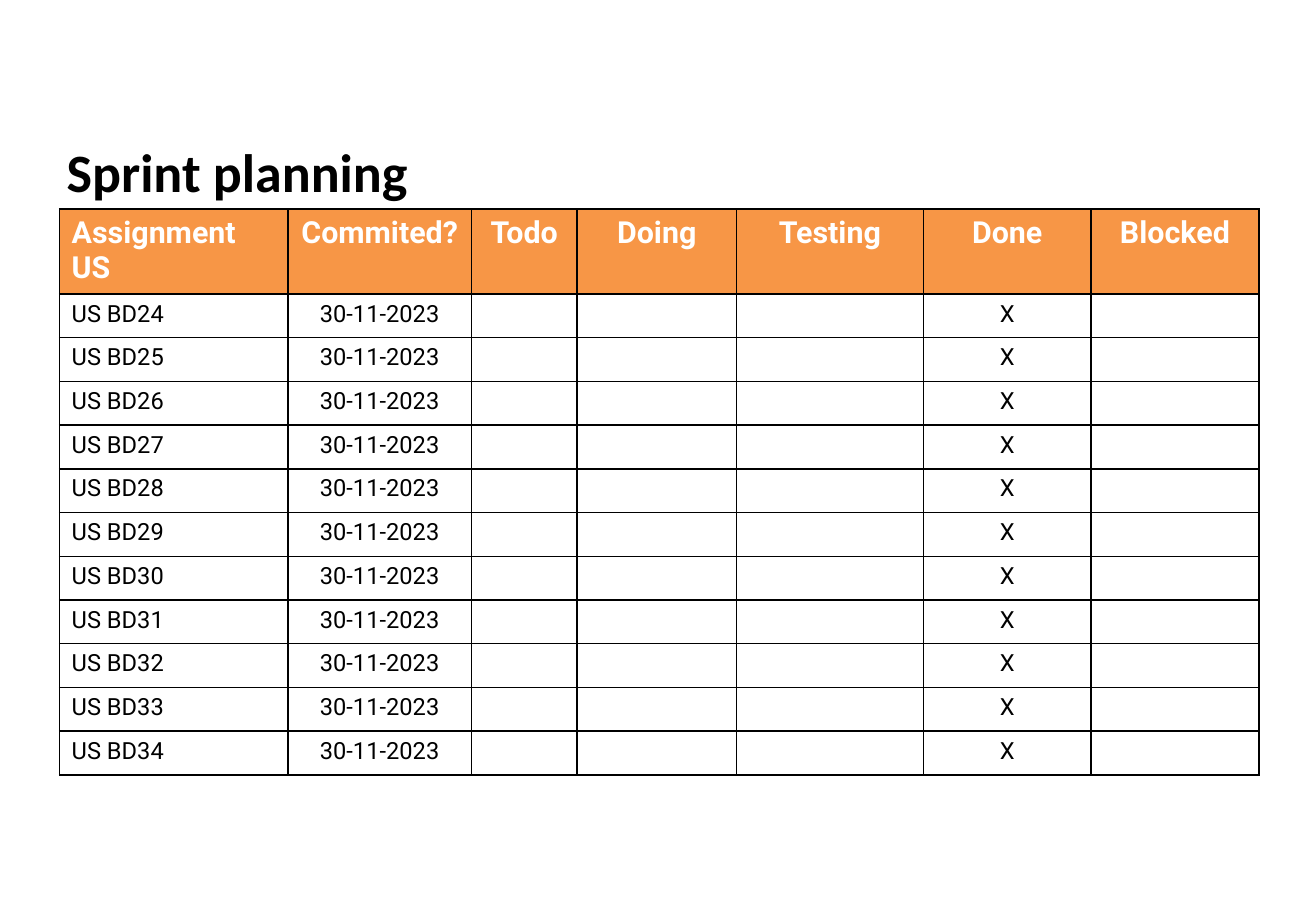
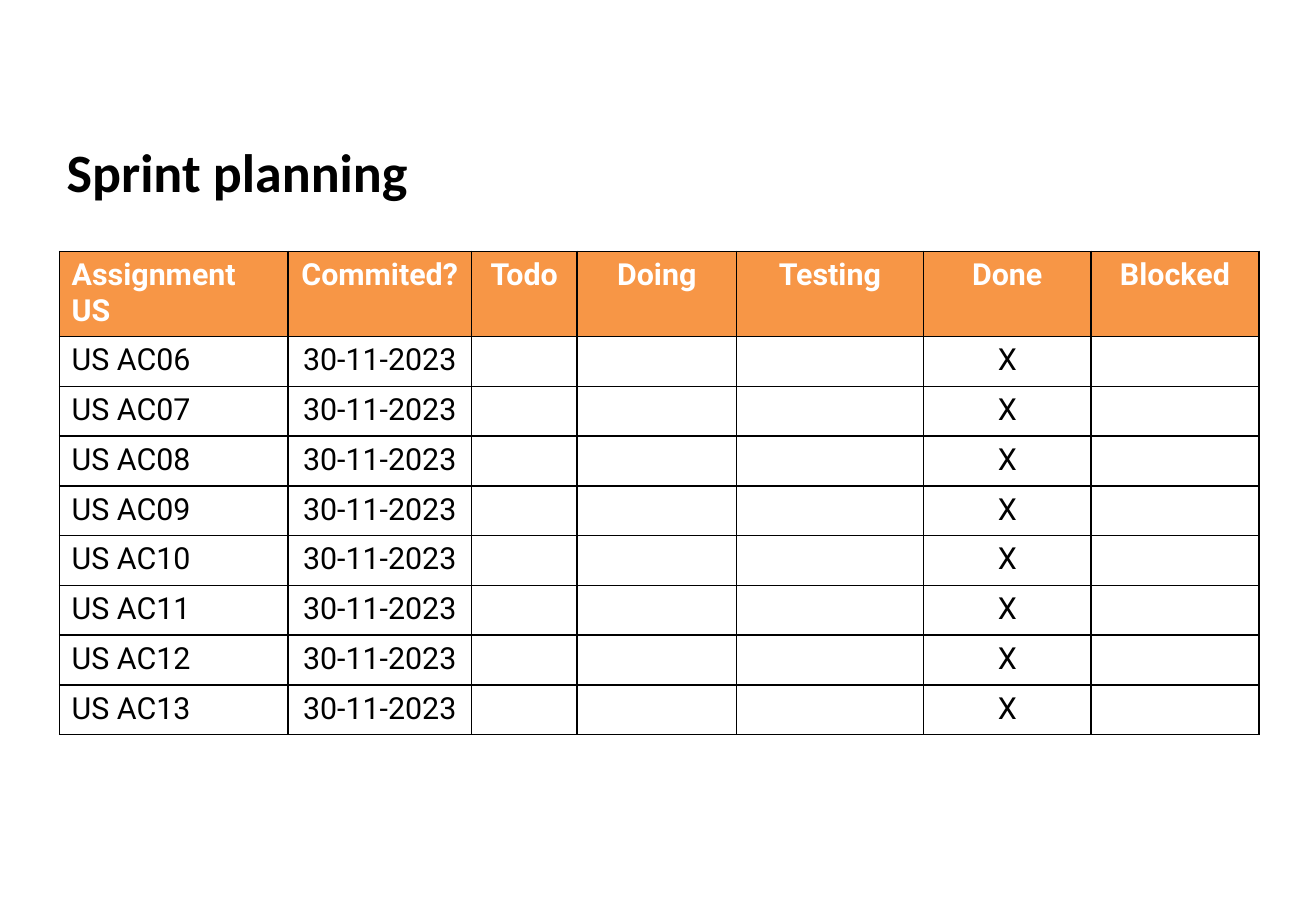
from dataclasses import dataclass

from lxml.etree import SubElement
from pptx import Presentation
from pptx.dml.color import RGBColor
from pptx.enum.text import MSO_ANCHOR, PP_ALIGN
from pptx.oxml.ns import qn
from pptx.slide import Slide
from pptx.table import _Cell as Cell
from pptx.text.text import _Paragraph as Paragraph
from pptx.util import Inches, Pt

# Shared style
BLACK = RGBColor(0x00, 0x00, 0x00)
WHITE = RGBColor(0xFF, 0xFF, 0xFF)
ORANGE = RGBColor(0xF7, 0x96, 0x46)
TITLE_FONT = "Calibri"
TABLE_FONT = "Roboto"
TITLE = "Sprint planning"
HEADERS = ("Assignment US", "Commited?", "Todo", "Doing", "Testing", "Done", "Blocked")
COL_WIDTHS = (1.88, 1.51, 0.87, 1.31, 1.54, 1.38, 1.38)
COMMITTED = "30-11-2023"


@dataclass(frozen=True)
class Sprint:
    prefix: str
    first: int
    last: int
    top: float
    row_height: float
    size: int

    def rows(self) -> list[tuple[str, ...]]:
        return [
            (f"US {self.prefix}{n:02d}", COMMITTED, "", "", "", "X", "")
            for n in range(self.first, self.last + 1)
        ]


SPRINTS = (
    Sprint("BD", 24, 34, top=1.72, row_height=0.36, size=14),
    Sprint("AC", 6, 13, top=2.07, row_height=0.41, size=18),
)


def style_text(p: Paragraph, font: str, size: int, color: RGBColor, bold: bool) -> None:
    p.font.name = font
    p.font.size = Pt(size)
    p.font.bold = bold
    p.font.color.rgb = color


def add_borders(cell: Cell) -> None:
    tc_pr = cell._tc.get_or_add_tcPr()
    for side in ("lnL", "lnR", "lnT", "lnB"):
        ln = SubElement(tc_pr, qn(f"a:{side}"), w=str(Pt(1)))
        fill = SubElement(ln, qn("a:solidFill"))
        SubElement(fill, qn("a:srgbClr"), val=str(BLACK))


def add_title(s: Slide) -> None:
    box = s.shapes.add_textbox(Inches(0.45), Inches(1.09), Inches(10.08), Inches(0.63))
    tf = box.text_frame
    tf.word_wrap = True
    tf.vertical_anchor = MSO_ANCHOR.MIDDLE
    p = tf.paragraphs[0]
    p.text = TITLE
    style_text(p, TITLE_FONT, 32, BLACK, True)


def add_planning_table(s: Slide, sprint: Sprint) -> None:
    rows = [HEADERS, *sprint.rows()]
    table = s.shapes.add_table(
        len(rows), len(HEADERS), Inches(0.49), Inches(sprint.top),
        Inches(sum(COL_WIDTHS)), Inches(sprint.row_height * len(rows)),
    ).table
    table.horz_banding = False
    for column, width in zip(table.columns, COL_WIDTHS):
        column.width = Inches(width)

    for i, texts in enumerate(rows):
        header = i == 0
        table.rows[i].height = Inches(sprint.row_height)
        for j, text in enumerate(texts):
            cell = table.cell(i, j)
            add_borders(cell)
            cell.fill.solid()
            cell.fill.fore_color.rgb = ORANGE if header else WHITE
            p = cell.text_frame.paragraphs[0]
            p.text = text
            p.alignment = PP_ALIGN.CENTER if j else PP_ALIGN.LEFT
            style_text(p, TABLE_FONT, 18 if header else sprint.size,
                       WHITE if header else BLACK, header)


def main() -> None:
    prs = Presentation()
    prs.slide_width = Inches(10.83)
    prs.slide_height = Inches(7.5)
    for sprint in SPRINTS:
        s = prs.slides.add_slide(prs.slide_layouts[6])
        add_title(s)
        add_planning_table(s, sprint)
    prs.save("out.pptx")


if __name__ == "__main__":
    main()
